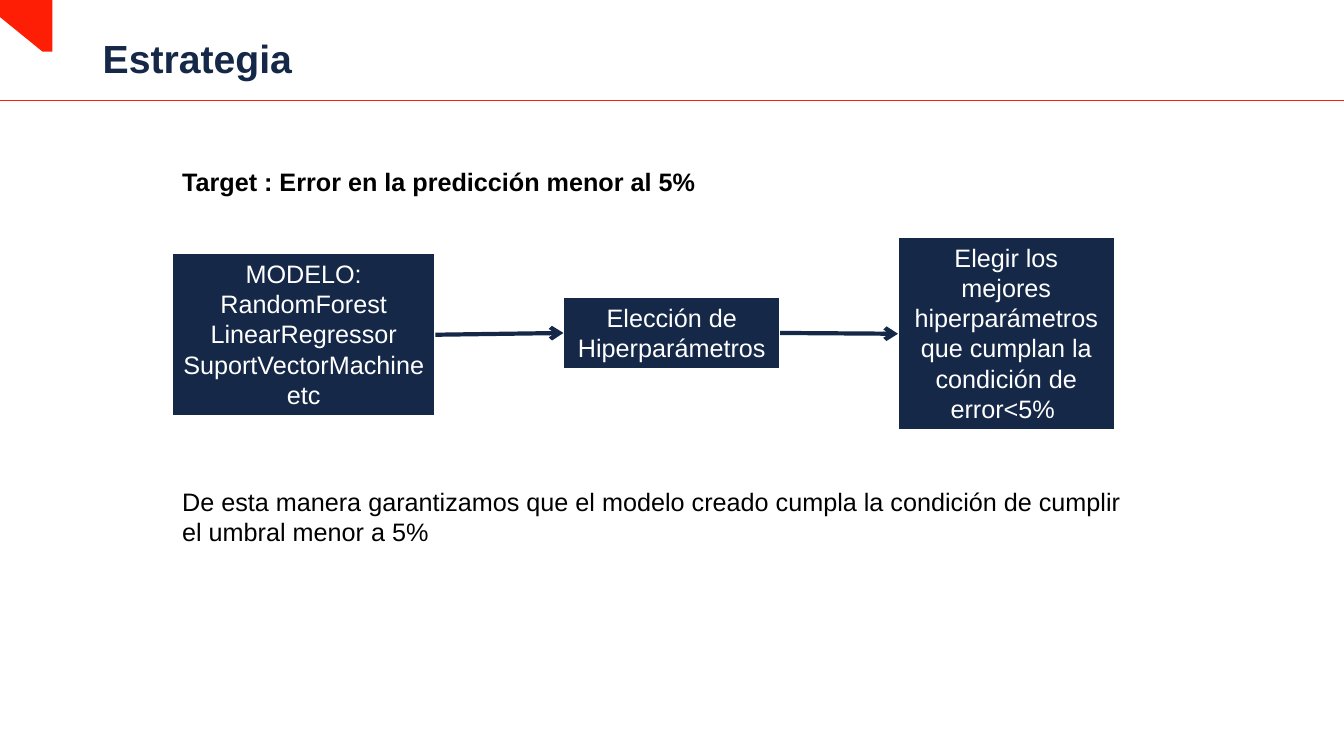
from pptx import Presentation
from pptx.dml.color import RGBColor
from pptx.enum.shapes import MSO_CONNECTOR, MSO_SHAPE
from pptx.enum.text import MSO_ANCHOR, PP_ALIGN
from pptx.oxml.ns import qn
from pptx.util import Cm, Pt
from lxml.etree import SubElement

COLOURS = {"navy": "152848", "red": "FD1E05", "white": "FFFFFF", "black": "000000"}


def write(shape, lines, colour, size=18, bold=False, align=PP_ALIGN.LEFT, anchor=MSO_ANCHOR.TOP):
    """Fill the shape with one paragraph per line and return the paragraphs."""
    frame = shape.text_frame
    frame.word_wrap = True
    frame.vertical_anchor = anchor
    for index, line in enumerate(lines):
        para = frame.paragraphs[0] if index == 0 else frame.add_paragraph()
        para.alignment = align
        span = para.add_run()
        span.text = line
        span.font.name = "Arial"
        span.font.size = Pt(size)
        span.font.bold = bold
        span.font.color.rgb = RGBColor.from_string(COLOURS[colour])
    return frame.paragraphs


def draw_line(start, end, colour, width):
    line = page.shapes.add_connector(MSO_CONNECTOR.STRAIGHT, *map(Cm, start + end))
    line.line.color.rgb = RGBColor.from_string(COLOURS[colour])
    line.line.width = Pt(width)
    SubElement(line._element.spPr, qn("a:effectLst"))
    return line


deck = Presentation()
deck.slide_width, deck.slide_height = Cm(33.87), Cm(19.05)
page = deck.slides.add_slide(deck.slide_layouts[6])

# Header
draw_line((0, 2.54), (33.87, 2.54), "red", 0.5)
outline = page.shapes.build_freeform(Cm(1.32), Cm(1.3), scale=1.0)
corner_points = [(1.32, 0), (0, 0), (0, 0.43), (1.07, 1.3)]
outline.add_line_segments([(Cm(x), Cm(y)) for x, y in corner_points], close=True)
corner = outline.convert_to_shape()
corner.shadow.inherit = False
corner.fill.solid()
corner.fill.fore_color.rgb = RGBColor.from_string(COLOURS["red"])
corner.line.fill.background()

title = page.shapes.add_textbox(Cm(2.34), Cm(1.02), Cm(25.78), Cm(1.04))
write(title, ["Estrategia"], "navy", 28, True, anchor=MSO_ANCHOR.MIDDLE)[0].line_spacing = 0.9

# Statements above and below the flow
target = page.shapes.add_textbox(Cm(4.34), Cm(4.06), Cm(24.38), Cm(1.02))
write(target, ["Target : Error en la predicción menor al 5%"], "black", bold=True,
      align=PP_ALIGN.JUSTIFY)
conclusion = page.shapes.add_textbox(Cm(4.34), Cm(12.12), Cm(24.38), Cm(1.8))
write(conclusion, ["De esta manera garantizamos que el modelo creado cumpla la condición "
                   "de cumplir el umbral menor a 5%"], "black")

# Flow: left, top, width, height, lines
steps = [
    (4.34, 6.38, 6.63, 4.11,
     ["MODELO:", "RandomForest", "LinearRegressor", "SuportVectorMachine", "etc"]),
    (14.2, 7.49, 5.46, 1.8, ["Elección de Hiperparámetros"]),
    (22.63, 5.97, 5.46, 4.88,
     ["Elegir los mejores hiperparámetros que cumplan la condición de error<5% "]),
]
boxes = []
for left, top, width, height, lines in steps:
    box = page.shapes.add_shape(MSO_SHAPE.RECTANGLE, Cm(left), Cm(top), Cm(width), Cm(height))
    box.shadow.inherit = False
    box.fill.solid()
    box.fill.fore_color.rgb = RGBColor.from_string(COLOURS["navy"])
    box.line.color.rgb = RGBColor.from_string(COLOURS["white"])
    box.line.width = Pt(1.5)
    write(box, lines, "white", align=PP_ALIGN.CENTER)
    boxes.append(box)

for source, goal in zip(boxes, boxes[1:]):
    arrow = draw_line((0, 0), (1, 1), "navy", 3)
    arrow.begin_connect(source, 3)
    arrow.end_connect(goal, 1)
    SubElement(arrow.line._get_or_add_ln(), qn("a:tailEnd"), type="arrow")

deck.save("out.pptx")
